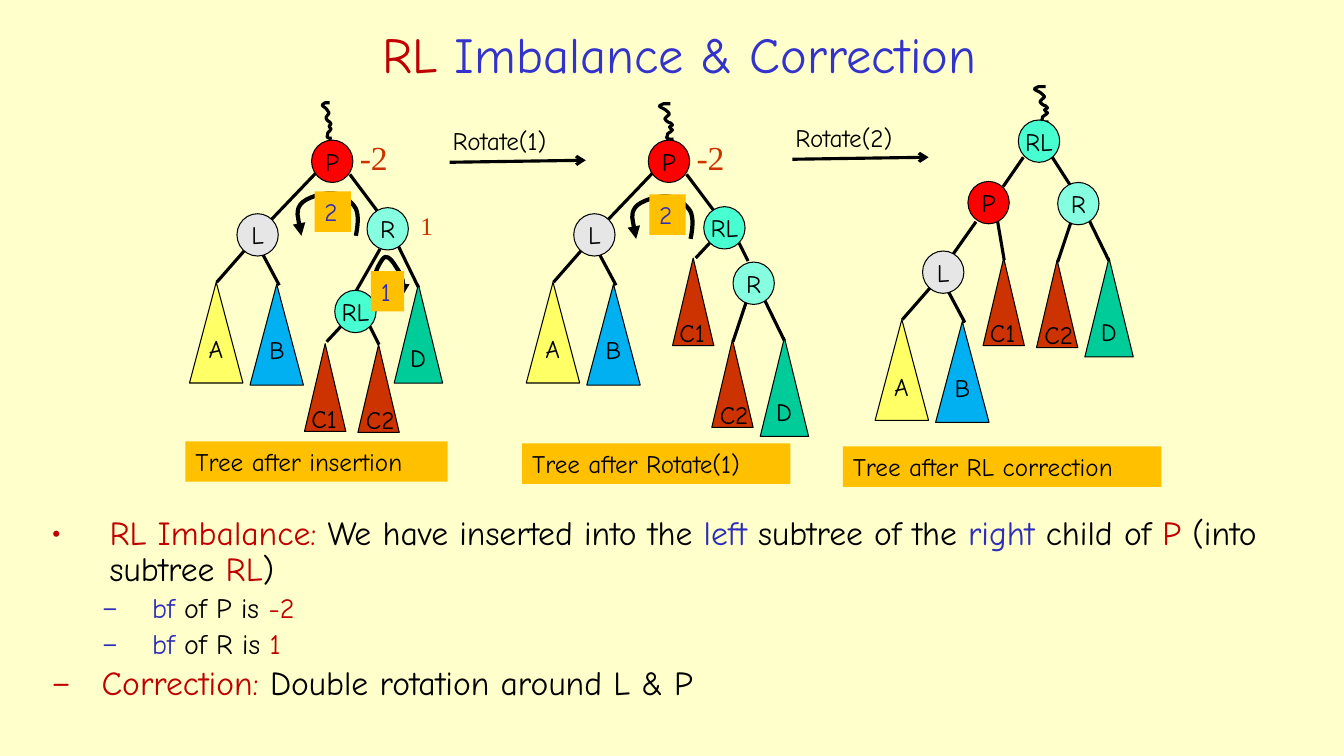
from lxml import etree
from pptx import Presentation
from pptx import util as u
from pptx.dml import color
from pptx.enum import shapes, text
from pptx.oxml import ns

HAND, SERIF = "Comic Neue", "Times New Roman"
BLACK, RED, BLUE, RUST, AMBER = "000000", "C00000", "2D2DB9", "CC3300", "FFC000"
NODE_FILLS = {"P": "FF0000", "L": "E6E6E6", "R": "85FFE0", "RL": "47FFD1"}
NODE_SIZE = (0.41, 0.42)
# fill, width, height, label shift right, label shift down, label width
SUBTREES = {
    "A": ("FFFF66", 0.53, 1, 0.09, 0.46, 0.39),
    "B": ("00B0F0", 0.53, 1, 0.09, 0.45, 0.36),
    "C1": (RUST, 0.41, 0.87, -0.03, 0.54, 0.47),
    "C2": (RUST, 0.41, 0.87, -0.02, 0.54, 0.51),
    "D": ("00CC99", 0.48, 0.98, 0.06, 0.53, 0.38),
}
LABEL_HEIGHT = 0.4
# Bezier chains in hundredths of an inch: start, then three points per curve
SQUIGGLE = [(12, 0), (10, 0), (7, 0), (5, 0), (4, 1), (2, 1), (1, 2), (0, 3), (6, 5),
            (7, 6), (10, 8), (9, 8), (11, 10), (10, 11), (10, 12), (9, 12), (7, 15),
            (5, 14), (8, 17), (9, 18), (11, 19), (12, 19), (13, 20), (14, 21), (14, 21),
            (13, 22), (11, 23), (11, 23), (11, 24), (13, 25), (14, 26), (13, 26),
            (13, 27), (12, 28), (12, 28), (10, 29), (9, 30), (9, 31), (9, 32), (8, 34),
            (13, 36), (11, 35), (15, 35)]
TURN_LEFT = [(60, 43), (62, 33), (63, 23), (60, 16), (56, 9), (46, 1), (37, 1),
             (28, 0), (10, 5), (5, 12), (0, 19), (6, 43), (6, 43)]
TURN_RIGHT = [(1, 36), (0, 30), (0, 24), (1, 18), (3, 12), (8, 2), (11, 1), (15, 0),
              (19, 6), (22, 11), (25, 15), (29, 23), (29, 28), (30, 33), (29, 37),
              (28, 40)]


def cells(*counts):
    """Turn counts of one-inch grid cells into lengths."""
    return [u.Inches(count) for count in counts]


def rgb(value):
    return color.RGBColor.from_string(value)


def add_run(paragraph, words, size, shade=BLACK, face=HAND):
    run = paragraph.add_run()
    run.text = words
    run.font.size, run.font.name = u.Pt(size), face
    run.font.color.rgb = rgb(shade)


def style_line(shape, width, end=None):
    shape.line.color.rgb = rgb(BLACK)
    shape.line.width = u.Pt(width)
    if end:
        etree.SubElement(shape.line._get_or_add_ln(), ns.qn("a:tailEnd"), type=end)


def add_label(slide, words, box, size=18, shade=BLACK, face=HAND, fill=None):
    shape = slide.shapes.add_textbox(*cells(*box))
    if fill:
        shape.fill.solid()
        shape.fill.fore_color.rgb = rgb(fill)
    frame = shape.text_frame
    frame.word_wrap = False
    frame.auto_size = text.MSO_AUTO_SIZE.SHAPE_TO_FIT_TEXT
    add_run(frame.paragraphs[0], words, size, shade, face)


def add_outlined(slide, kind, box, fill):
    shape = slide.shapes.add_shape(kind, *cells(*box))
    shape.shadow.inherit = False
    shape.fill.solid()
    shape.fill.fore_color.rgb = rgb(fill)
    style_line(shape, 0.75)
    return shape


def add_node(slide, name, left, top):
    shape = add_outlined(slide, shapes.MSO_SHAPE.OVAL, (left, top, *NODE_SIZE),
                         NODE_FILLS[name])
    frame = shape.text_frame
    frame.word_wrap = False
    frame.vertical_anchor = text.MSO_ANCHOR.MIDDLE
    frame.paragraphs[0].alignment = text.PP_ALIGN.CENTER
    add_run(frame.paragraphs[0], name, 18)


def add_subtree(slide, name, left, top):
    fill, width, height, right, down, label_width = SUBTREES[name]
    add_outlined(slide, shapes.MSO_SHAPE.ISOSCELES_TRIANGLE,
                 (left, top, width, height), fill)
    add_label(slide, name, (left + right, top + down, label_width, LABEL_HEIGHT))


def add_edge(slide, x1, y1, x2, y2, end=None):
    line = slide.shapes.add_connector(shapes.MSO_CONNECTOR.STRAIGHT,
                                      *cells(x1, y1, x2, y2))
    style_line(line, 2.25, end)
    etree.SubElement(line._element.spPr, ns.qn("a:effectLst"))


def add_curve(slide, chain, left, top, width, end=None, stretch=1):
    """Draw a chain of Bezier curves as one open outline."""
    points = [cells(left + x * stretch / 100, top + y / 100) for x, y in chain]
    builder = slide.shapes.build_freeform(*points[0], scale=1.0)
    builder.add_line_segments(points[1:], close=False)
    shape = builder.convert_to_shape()
    segments = list(shape._element.iter(ns.qn("a:lnTo")))
    for first in range(0, len(segments), 3):
        curve = etree.SubElement(segments[first].getparent(), ns.qn("a:cubicBezTo"))
        for segment in segments[first:first + 3]:
            curve.append(segment[0])
            segment.getparent().remove(segment)
    shape.shadow.inherit = False
    shape.fill.background()
    style_line(shape, width, end)


def add_badge(slide, words, left, top, width):
    add_label(slide, words, (left, top, width, LABEL_HEIGHT), shade=BLUE, fill=AMBER)


def add_caption(slide, words, left, top, width):
    add_label(slide, words, (left, top, width, LABEL_HEIGHT), fill=AMBER)


def add_rotation(slide, words, left, top):
    add_edge(slide, left, top + 0.42, left + 1.35, top + 0.4, "arrow")
    add_label(slide, words, (left - 0.07, top, 1.32, LABEL_HEIGHT))


def add_l_branch(slide, x, y):
    """Node L at x, y with its subtrees A and B."""
    add_edge(slide, x + 0.08, y + 0.36, x - 0.2, y + 0.68)
    add_edge(slide, x + 0.26, y + 0.41, x + 0.42, y + 0.71)
    add_subtree(slide, "A", x - 0.47, y + 0.68)
    add_subtree(slide, "B", x + 0.13, y + 0.7)
    add_node(slide, "L", x, y)


def add_r_branch(slide, x, y):
    """Node R at x, y with its subtrees C2 and D."""
    add_edge(slide, x + 0.31, y + 0.37, x + 0.51, y + 0.78)
    add_edge(slide, x + 0.13, y + 0.4, x, y + 0.79)
    add_subtree(slide, "C2", x - 0.21, y + 0.77)
    add_subtree(slide, "D", x + 0.27, y + 0.75)
    add_node(slide, "R", x, y)


def add_p_top(slide, x, y):
    """Unbalanced node P at x, y with its left branch."""
    add_edge(slide, x + 0.04, y + 0.33, x - 0.4, y + 0.79)
    add_edge(slide, x + 0.38, y + 0.34, x + 0.65, y + 0.7)
    add_l_branch(slide, x - 0.74, y + 0.73)
    add_node(slide, "P", x, y)
    add_label(slide, "-2", (x + 0.38, y - 0.08, 0.48, 0.51), 24, RUST, SERIF)


def add_left_turn(slide, x, y):
    add_curve(slide, TURN_LEFT, x, y, 3, "triangle")
    add_badge(slide, "2", x + 0.19, y - 0.01, 0.36)


def add_inserted_tree(slide):
    add_curve(slide, SQUIGGLE, 3.19, 1.02, 2.25, stretch=0.67)
    add_p_top(slide, 3.09, 1.39)
    add_left_turn(slide, 2.93, 1.91)
    for edge in ((3.95, 2.44, 4.15, 2.85), (3.77, 2.47, 3.53, 2.89),
                 (3.38, 3.24, 3.24, 3.39), (3.67, 3.24, 3.76, 3.42)):
        add_edge(slide, *edge)
    for name, left, top in (("C1", 3.02, 3.41), ("C2", 3.55, 3.42), ("D", 3.91, 2.82)):
        add_subtree(slide, name, left, top)
    add_node(slide, "R", 3.64, 2.06)
    add_node(slide, "RL", 3.32, 2.88)
    add_curve(slide, TURN_RIGHT, 3.71, 2.54, 3, "triangle")
    add_badge(slide, "1", 3.68, 2.69, 0.33)
    add_label(slide, "1", (4.07, 2.04, 0.33, LABEL_HEIGHT), 18, RUST, SERIF)
    add_caption(slide, "Tree after insertion", 1.84, 4.38, 2.6)


def add_rotated_tree(slide):
    add_curve(slide, SQUIGGLE, 6.53, 1.03, 2.25)
    add_p_top(slide, 6.43, 1.39)
    add_left_turn(slide, 6.25, 1.94)
    add_edge(slide, 7.04, 2.41, 6.9, 2.56)
    add_edge(slide, 7.33, 2.41, 7.42, 2.59)
    add_subtree(slide, "C1", 6.67, 2.56)
    add_r_branch(slide, 7.27, 2.6)
    add_node(slide, "RL", 6.98, 2.05)
    add_caption(slide, "Tree after Rotate(1)", 5.18, 4.4, 2.66)


def add_corrected_tree(slide):
    add_curve(slide, SQUIGGLE, 10.25, 0.86, 2.25)
    for edge in ((9.68, 2.2, 9.44, 2.54), (10.15, 1.56, 9.95, 1.85),
                 (9.89, 2.17, 9.96, 2.58), (10.43, 1.55, 10.61, 1.83)):
        add_edge(slide, *edge)
    add_subtree(slide, "C1", 9.75, 2.56)
    add_l_branch(slide, 9.15, 2.49)
    add_r_branch(slide, 10.49, 1.81)
    add_node(slide, "P", 9.6, 1.8)
    add_node(slide, "RL", 10.1, 1.19)
    add_caption(slide, "Tree after RL correction", 8.36, 4.43, 3.16)


def add_title(slide):
    frame = slide.shapes.add_textbox(*cells(1.97, 0.15, 9.54, 0.76)).text_frame
    frame.word_wrap = True
    frame.vertical_anchor = text.MSO_ANCHOR.MIDDLE
    frame.paragraphs[0].alignment = text.PP_ALIGN.CENTER
    add_run(frame.paragraphs[0], "RL ", 36, RED)
    add_run(frame.paragraphs[0], "Imbalance & Correction", 36, "3333CC")


def add_explanation(slide):
    lines = [
        ("•", 0.58, 0.58, 24, [
            ("RL Imbalance: ", RED), ("We have inserted into the ", BLACK),
            ("left ", BLUE), ("subtree of the ", BLACK), ("right ", BLUE),
            ("child of ", BLACK), ("P", RED), (" (into subtree ", BLACK),
            ("RL", RED), (")", BLACK)]),
        ("–", 1, 0.5, 20, [("bf", BLUE), (" of P is ", BLACK), ("-2", RED)]),
        ("–", 1, 0.5, 20, [("bf", BLUE), (" of R is ", BLACK), ("1", RED)]),
        ("–", 0.5, 0.5, 24, [("Correction: ", RED),
                             ("Double rotation around L & P", BLACK)]),
    ]
    frame = slide.shapes.add_textbox(*cells(0.41, 5.07, 12.63, 2.06)).text_frame
    frame.word_wrap = True
    for index, (bullet, margin, hang, size, runs) in enumerate(lines):
        paragraph = frame.add_paragraph() if index else frame.paragraphs[0]
        paragraph.line_spacing = 0.9
        if index:
            paragraph.space_before = u.Pt(size * 0.2)
        properties = paragraph._p.get_or_add_pPr()
        properties.set("marL", str(u.Inches(margin)))
        properties.set("indent", str(-u.Inches(hang)))
        etree.SubElement(properties, ns.qn("a:buFont"), typeface=HAND)
        etree.SubElement(properties, ns.qn("a:buChar"), char=bullet)
        for words, shade in runs:
            add_run(paragraph, words, size, shade)


def main():
    presentation = Presentation()
    presentation.slide_width, presentation.slide_height = cells(13.33, 7.5)
    slide = presentation.slides.add_slide(presentation.slide_layouts[6])
    slide.background.fill.solid()
    slide.background.fill.fore_color.rgb = rgb("FFFFCC")
    add_title(slide)
    add_inserted_tree(slide)
    add_rotated_tree(slide)
    add_corrected_tree(slide)
    add_rotation(slide, "Rotate(1)", 4.46, 1.19)
    add_rotation(slide, "Rotate(2)", 7.86, 1.16)
    add_explanation(slide)
    presentation.save("out.pptx")


if __name__ == "__main__":
    main()
